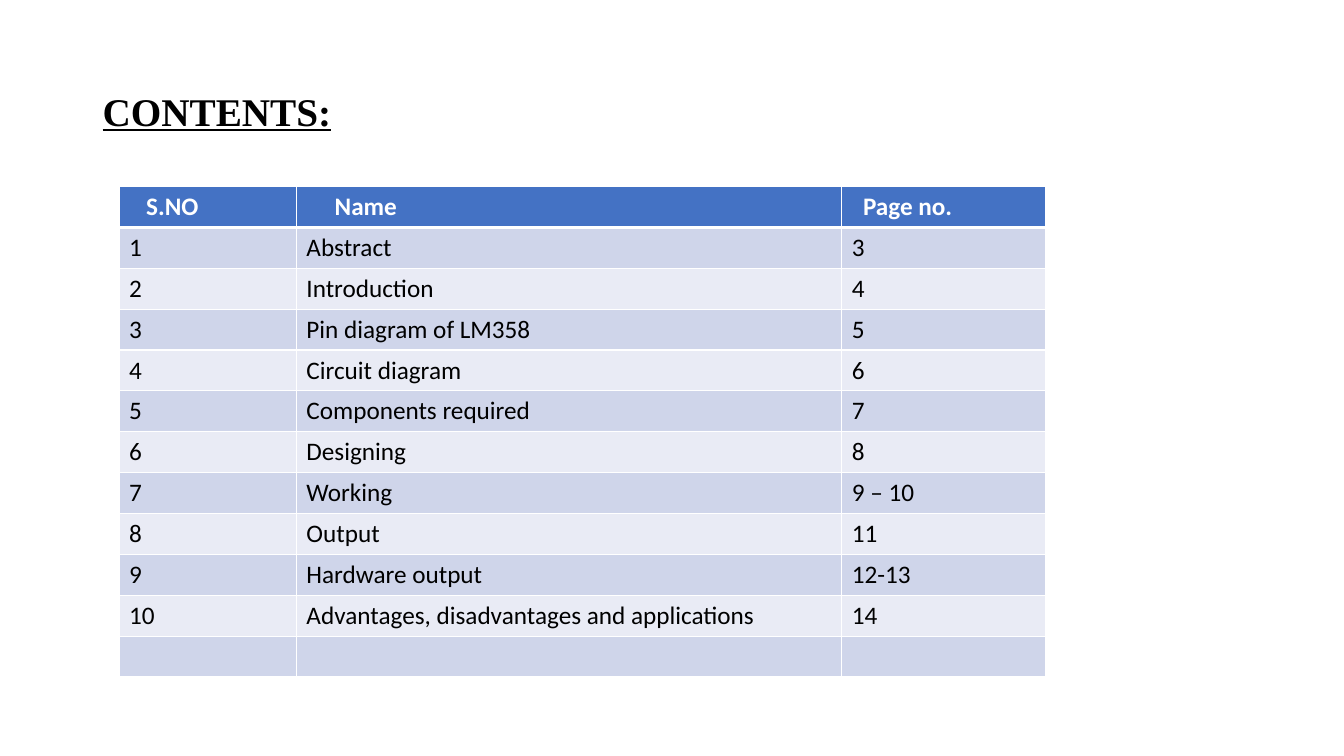
from dataclasses import dataclass

from lxml import etree
from pptx import Presentation
from pptx import util as u
from pptx.dml import color
from pptx.enum import text
from pptx.oxml import ns

BLACK, WHITE, BLUE = "000000", "FFFFFF", "4472C4"
BANDS = ("CFD5EA", "E9EBF5")
MARGIN = 0.1


@dataclass
class Column:
    title: str
    width: float
    indent: float  # extra inset of the heading


@dataclass
class Entry:
    name: str
    page: str


COLUMNS = [
    Column("S.NO", 1.76, 0.17),
    Column("Name", 5.41, 0.28),
    Column("Page no.", 2.02, 0.11),
]
ENTRIES = [
    Entry("Abstract", "3"),
    Entry("Introduction", "4"),
    Entry("Pin diagram of LM358", "5"),
    Entry("Circuit diagram", "6"),
    Entry("Components required", "7"),
    Entry("Designing", "8"),
    Entry("Working", "9 – 10"),
    Entry("Output", "11"),
    Entry("Hardware output", "12-13"),
    Entry("Advantages, disadvantages and applications", "14"),
]


def rgb(code: str) -> color.RGBColor:
    return color.RGBColor.from_string(code)


def style(para, face: str, size: float, code: str, bold: bool) -> None:
    font = para.font
    font.name, font.size, font.bold = face, u.Pt(size), bold
    font.color.rgb = rgb(code)


def border(cell, top: float, bottom: float) -> None:
    props = cell._tc.get_or_add_tcPr()
    for side, width in (("L", 1), ("R", 1), ("T", top), ("B", bottom)):
        line = etree.SubElement(props, ns.qn(f"a:ln{side}"), w=str(u.Pt(width)))
        fill = etree.SubElement(line, ns.qn("a:solidFill"))
        etree.SubElement(fill, ns.qn("a:srgbClr"), val=WHITE)


def draw_title(slide) -> None:
    box = slide.shapes.add_textbox(
        u.Inches(0.92), u.Inches(0.4), u.Inches(11.5), u.Inches(1.45))
    frame = box.text_frame
    frame.word_wrap = True
    frame.vertical_anchor = text.MSO_ANCHOR.MIDDLE
    para = frame.paragraphs[0]
    para.text = "CONTENTS:"
    para.line_spacing = 0.9
    style(para, "Times New Roman", 28, BLACK, True)
    para.font.underline = True


def draw_table(slide) -> None:
    # Heading, numbered entries and one empty closing row
    rows = [[col.title for col in COLUMNS]]
    rows += [[str(num), item.name, item.page]
             for num, item in enumerate(ENTRIES, 1)]
    rows.append([""] * len(COLUMNS))

    width = sum(col.width for col in COLUMNS)
    table = slide.shapes.add_table(
        len(rows), len(COLUMNS), u.Inches(1.18), u.Inches(1.85),
        u.Inches(width), u.Inches(4.87)).table
    for index, col in enumerate(COLUMNS):
        table.columns[index].width = u.Inches(col.width)

    for row, words in enumerate(rows):
        head = row == 0
        for index, word in enumerate(words):
            cell = table.cell(row, index)
            border(cell, 3 if row == 1 else 1, 3 if head else 1)
            cell.fill.solid()
            cell.fill.fore_color.rgb = rgb(BLUE if head else BANDS[(row - 1) % 2])
            inset = COLUMNS[index].indent if head else 0
            cell.margin_left = u.Inches(MARGIN + inset)
            para = cell.text_frame.paragraphs[0]
            para.text = word
            style(para, "Calibri", 18, WHITE if head else BLACK, head)


def main() -> None:
    deck = Presentation()
    deck.slide_width, deck.slide_height = u.Inches(13.33), u.Inches(7.5)
    slide = deck.slides.add_slide(deck.slide_layouts[6])
    draw_title(slide)
    draw_table(slide)
    deck.save("out.pptx")


if __name__ == "__main__":
    main()
